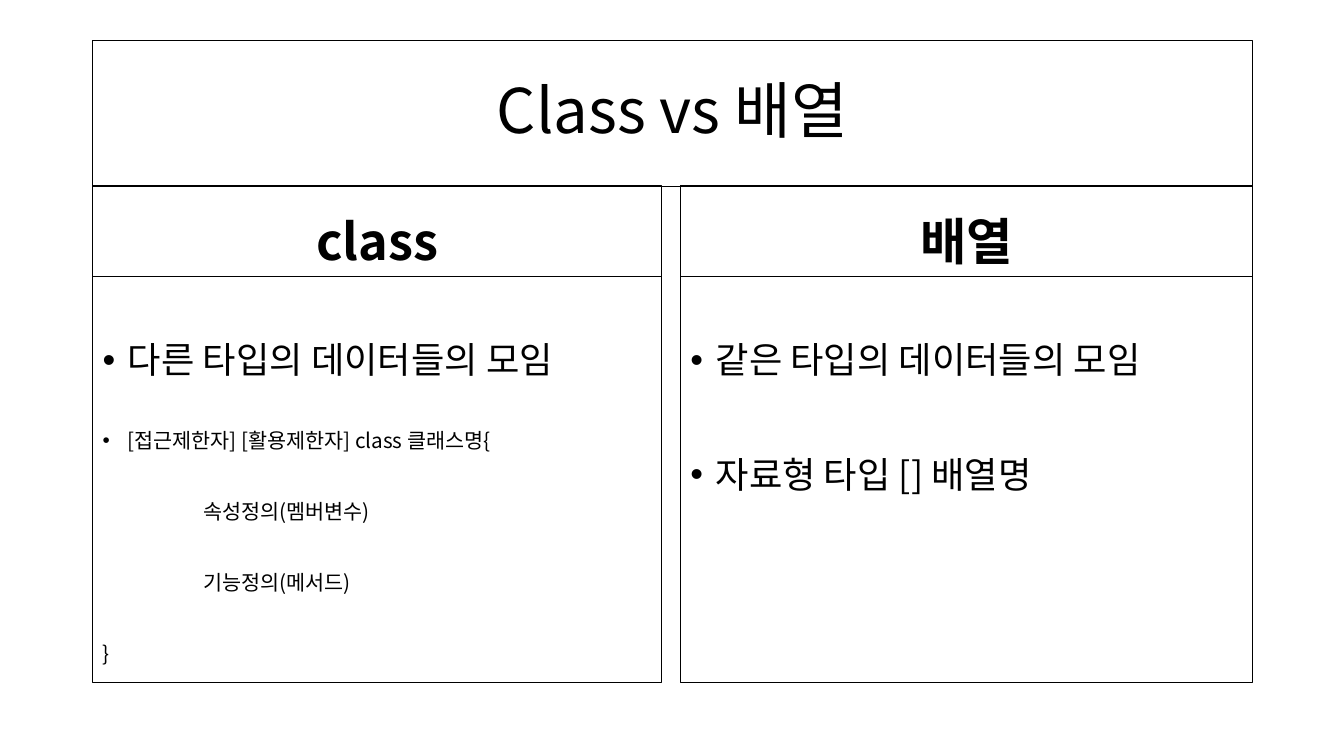
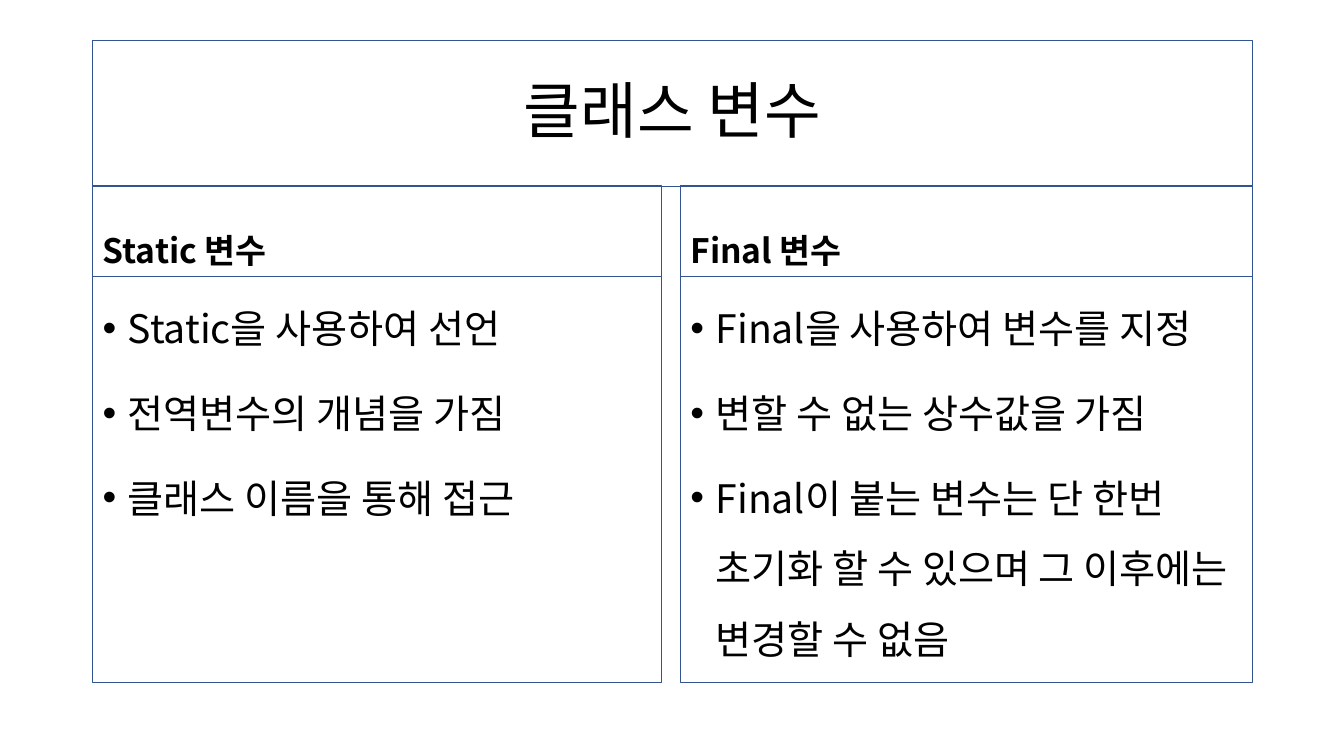
from pptx import Presentation
from pptx.dml.color import RGBColor
from pptx.enum.text import MSO_ANCHOR as Anchor, MSO_AUTO_SIZE as Fit, PP_ALIGN as Align
from pptx.oxml.ns import qn
from pptx.util import Inches, Pt
from lxml.etree import SubElement

FONT = "Noto Sans CJK KR"
INK = "000000"
BLUE = "325491"
LEFT, TOP, WIDTH = 0.92, 0.4, 11.5
HEAD_TOP, BODY_TOP = 1.84, 2.74
HEAD_H, BODY_H = 0.9, 4.03
COLS = [(LEFT, 5.64), (6.75, 5.67)]


def color(code):
    """Turn a hex string into a colour."""
    return RGBColor.from_string(code)


def frame(box, area, edge, anchor):
    """Place and outline a box, and return its text frame."""
    box.left, box.top, box.width, box.height = [Inches(v) for v in area]
    box.line.color.rgb = color(edge)
    box.line.width = Pt(0.75)
    text = box.text_frame
    text.word_wrap = True
    text.auto_size = Fit.NONE
    text.vertical_anchor = anchor
    return text


def write(para, words, size, space, bold=False, align=Align.LEFT, before=10):
    """Format a paragraph and add its run."""
    para.alignment = align
    para.line_spacing = space
    para.space_before = Pt(before)
    run = para.add_run()
    run.text = words
    font = run.font
    font.name, font.size, font.bold = FONT, Pt(size), bold
    font.color.rgb = color(INK)
    SubElement(run._r.get_or_add_rPr(), qn("a:ea"), typeface=FONT)


def indent(para, left, first=0, mark=None):
    """Set the indents of a paragraph and its bullet, if any."""
    props = para._p.get_or_add_pPr()
    props.set("marL", str(Inches(left)))
    props.set("indent", str(Inches(first)))
    if mark:
        SubElement(props, qn("a:buFont"), typeface="Arial")
        SubElement(props, qn("a:buChar"), char=mark)


def panel(slide, area, edge, anchor=Anchor.TOP):
    """Add an outlined text box and return its text frame."""
    box = slide.shapes.add_textbox(*[Inches(v) for v in area])
    return frame(box, area, edge, anchor)


def fill(text, items, space):
    """Write the lines of a body: kind, words and size."""
    for i, (kind, words, size) in enumerate(items):
        para = text.paragraphs[0] if i == 0 else text.add_paragraph()
        write(para, words, size, space)
        if kind == "bullet":
            indent(para, 0.25, -0.25, "•")
        elif kind == "inner":
            indent(para, 1)


def compare(deck, title, edge, cols, size, align, space):
    """Add a slide that sets two titled columns side by side."""
    slide = deck.slides.add_slide(deck.slide_layouts[5])
    text = frame(slide.shapes.title, (LEFT, TOP, WIDTH, 1.45), edge, Anchor.MIDDLE)
    write(text.paragraphs[0], title, 44, 0.9, align=Align.CENTER, before=0)
    for (left, width), (head, items) in zip(COLS, cols):
        text = panel(slide, (left, HEAD_TOP, width, HEAD_H), edge, Anchor.BOTTOM)
        write(text.paragraphs[0], head, size, 0.9, True, align)
        fill(panel(slide, (left, BODY_TOP, width, BODY_H), edge), items, space)


def points(size, *lines):
    """Make bullet items of one size."""
    return [("bullet", words, size) for words in lines]


def main():
    """Build and save the deck."""
    deck = Presentation()
    deck.slide_width, deck.slide_height = Inches(13.33), Inches(7.5)
    syntax = [
        ("bullet", "[접근제한자] [활용제한자] class 클래스명{", 14.8),
        ("inner", "속성정의(멤버변수)", 14.8),
        ("inner", "기능정의(메서드)", 14.8),
        ("plain", "}", 14.8),
    ]
    compare(deck, "Class vs 배열", INK, [
        ("class", points(25.9, "다른 타입의 데이터들의 모임") + syntax),
        ("배열", points(25.9, "같은 타입의 데이터들의 모임", "자료형 타입 [] 배열명")),
    ], 36, Align.CENTER, 2.3)
    compare(deck, "클래스 변수", BLUE, [
        ("Static 변수", points(28, "Static을 사용하여 선언", "전역변수의 개념을 가짐",
                             "클래스 이름을 통해 접근")),
        ("Final 변수", points(28, "Final을 사용하여 변수를 지정", "변할 수 없는 상수값을 가짐",
                            "Final이 붙는 변수는 단 한번 초기화 할 수 있으며 "
                            "그 이후에는 변경할 수 없음")),
    ], 24, Align.LEFT, 1.5)
    deck.save("out.pptx")


main()
